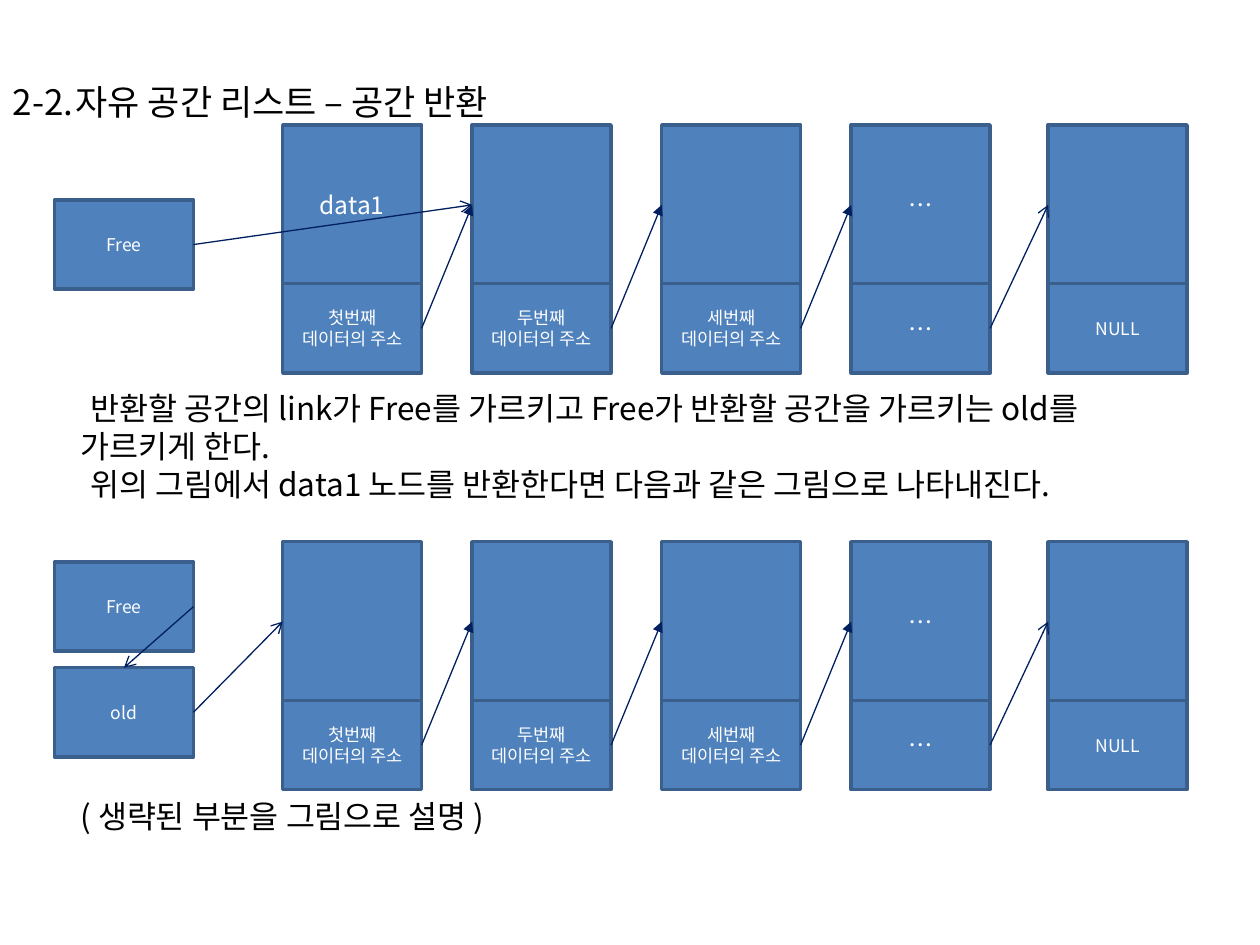
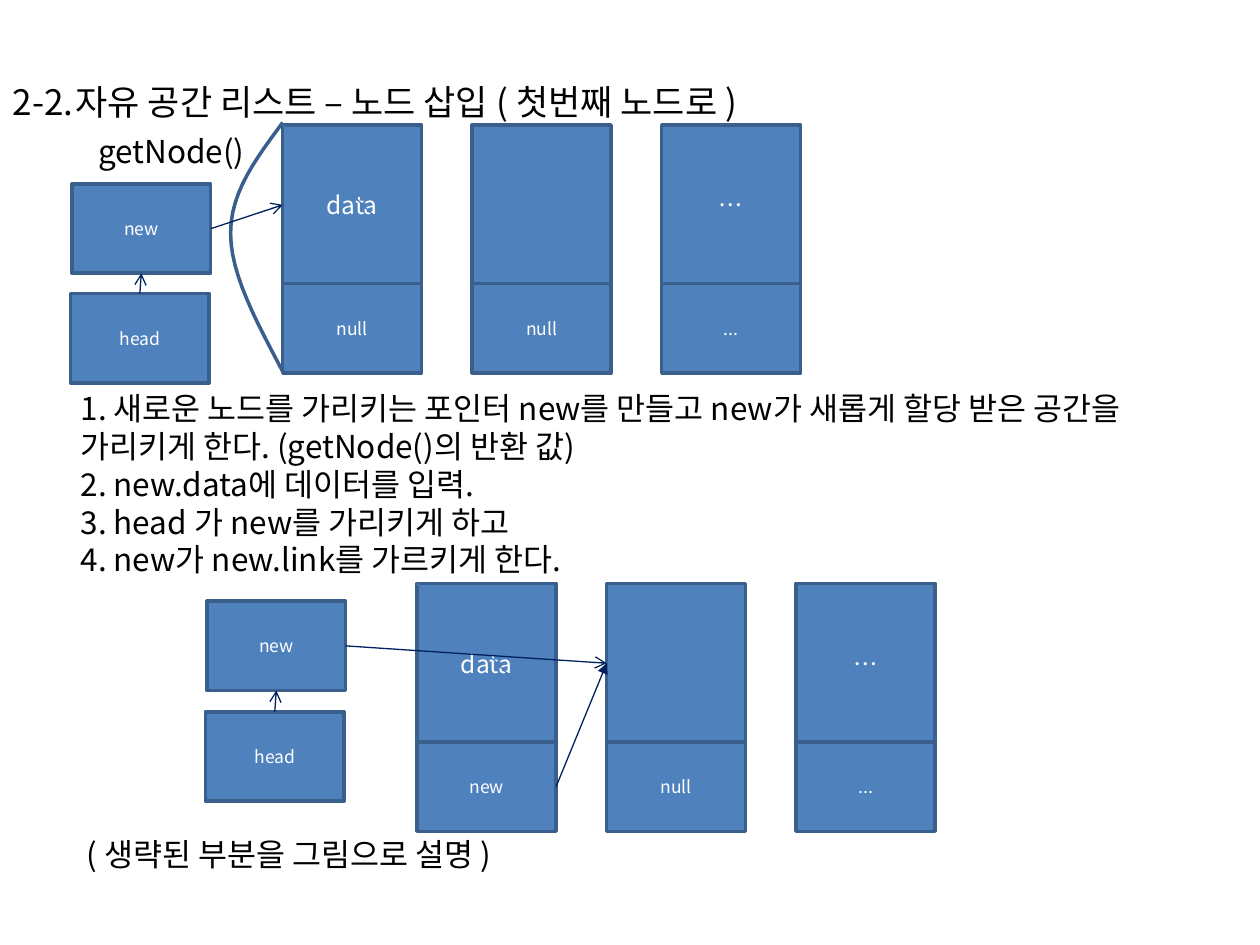
"""Build two slides on returning and inserting nodes in a free-space list."""
from lxml import etree
from pptx import Presentation
from pptx.dml.color import RGBColor
from pptx.enum.shapes import MSO_CONNECTOR, MSO_SHAPE
from pptx.enum.text import MSO_ANCHOR, MSO_AUTO_SIZE, PP_ALIGN
from pptx.oxml.ns import qn
from pptx.util import Cm, Pt

RECTANGLE = MSO_SHAPE.RECTANGLE
STRAIGHT = MSO_CONNECTOR.STRAIGHT
TOP, MIDDLE = MSO_ANCHOR.TOP, MSO_ANCHOR.MIDDLE
LEFT, CENTER = PP_ALIGN.LEFT, PP_ALIGN.CENTER
NO_AUTOFIT = MSO_AUTO_SIZE.NONE
TOP_SITE, LEFT_SITE, BOTTOM_SITE, RIGHT_SITE = range(4)

FONT = "Noto Sans CJK KR"
BLACK, WHITE = "000000", "FFFFFF"
BOX_FILL, BOX_LINE = "4F81BD", "3A5F8C"
ARROW_LINE, DIAGONAL_LINE = "002060", "4B7EBC"
BOX_WIDTH, DATA_HEIGHT, LINK_HEIGHT = 2.8, 3.22, 1.8
LINK_OFFSET, NODE_STEP = 3.2, 3.82
CHAIN_LEFT, CHAIN_TOP, LAST_LEFT = 5.7, 2.52, 21.13
NOTE = "( 생략된 부분을 그림으로 설명 )"
LINKS = ["첫번째 데이터의 주소", "두번째 데이터의 주소", "세번째 데이터의 주소", "…"]


def color(hex_text):
    """Return the colour for a hex string."""
    return RGBColor.from_string(hex_text)


def curve_points(start, first, second, end, steps=12):
    """Return points along a cubic curve, without its start."""
    points = []
    for step in range(1, steps + 1):
        t = step / steps
        weights = ((1 - t) ** 3, 3 * t * (1 - t) ** 2, 3 * t ** 2 * (1 - t), t ** 3)
        corners = (start, first, second, end)
        points.append(tuple(Cm(sum(w * c[axis] for w, c in zip(weights, corners)))
                            for axis in (0, 1)))
    return points


class ListDeck:
    """Hold the deck, its style and the current slide."""

    def __init__(self):
        """Start an empty deck."""
        self.deck = Presentation()
        self.deck.slide_width, self.deck.slide_height = Cm(25.4), Cm(19.05)
        self.page = None

    def set_text(self, shape, lines, size, ink=BLACK, align=LEFT, anchor=TOP,
                 indent=0, tab=None, wrap=True):
        """Put formatted paragraphs into a shape."""
        frame = shape.text_frame
        frame.text = "\n".join(lines)
        frame.word_wrap = wrap
        frame.auto_size = NO_AUTOFIT
        frame.vertical_anchor = anchor
        for para in frame.paragraphs:
            para.alignment = align
            para.space_before = Pt(0)
            properties = para._p.get_or_add_pPr()
            properties.set("marL", "0")
            properties.set("indent", str(Cm(indent)))
            etree.SubElement(properties, qn("a:buNone"))
            if tab:
                stops = etree.SubElement(properties, qn("a:tabLst"))
                etree.SubElement(stops, qn("a:tab"), pos=str(Cm(tab)), algn="l")
            font = para.font
            font.name, font.size = FONT, Pt(size)
            font.color.rgb = color(ink)
            etree.SubElement(font._element, qn("a:ea"), typeface=FONT)

    def place(self, shape, left, top, width, height):
        """Move and size a shape."""
        shape.left, shape.top = Cm(left), Cm(top)
        shape.width, shape.height = Cm(width), Cm(height)

    def start_page(self, title, lines, body_height, indent=0):
        """Add a slide with a title and a body text."""
        self.page = self.deck.slides.add_slide(self.deck.slide_layouts[1])
        heading, body = self.page.placeholders
        self.place(heading, 0, 0, 25.4, 4.1)
        self.set_text(heading, [title], 20, anchor=MIDDLE, tab=1.71)
        self.place(body, 1.37, 7.72, 22.63, body_height)
        self.set_text(body, lines, 18, indent=indent)

    def label(self, text, left, top, width, wrap=True):
        """Add a one-line text box."""
        box = self.page.shapes.add_textbox(Cm(left), Cm(top), Cm(width), Cm(1.02))
        self.set_text(box, [text], 18, wrap=wrap)

    def outline(self, shape, ink, width):
        """Set the line of a shape."""
        shape.line.color.rgb = color(ink)
        shape.line.width = Pt(width)

    def box(self, text, left, top, height=LINK_HEIGHT, size=10):
        """Add a blue box with centred text."""
        box = self.page.shapes.add_shape(
            RECTANGLE, Cm(left), Cm(top), Cm(BOX_WIDTH), Cm(height))
        box.shadow.inherit = False
        box.fill.solid()
        box.fill.fore_color.rgb = color(BOX_FILL)
        self.outline(box, BOX_LINE, 2)
        if text:
            self.set_text(box, [text], size, WHITE, CENTER, MIDDLE)
        return box

    def node(self, data, link, left, top):
        """Add a node and return its data and link boxes."""
        return (self.box(data, left, top, DATA_HEIGHT, 14),
                self.box(link, left, top + LINK_OFFSET, size=14 if link == "…" else 10))

    def chain(self, data, links, left, top):
        """Add evenly spaced nodes."""
        return [self.node(item, link, left + index * NODE_STEP, top)
                for index, (item, link) in enumerate(zip(data, links))]

    def line(self, ink, start=(0, 0), end=(0, 0)):
        """Add a thin straight line."""
        line = self.page.shapes.add_connector(STRAIGHT, *map(Cm, start + end))
        self.outline(line, ink, 0.75)
        etree.SubElement(line._element.spPr, qn("a:effectLst"))
        return line

    def arrow(self, source, target, from_site=RIGHT_SITE, to_site=LEFT_SITE, head="arrow"):
        """Connect two boxes with an arrow."""
        arrow = self.line(ARROW_LINE)
        arrow.begin_connect(source, from_site)
        arrow.end_connect(target, to_site)
        etree.SubElement(arrow.line._get_or_add_ln(), qn("a:tailEnd"), type=head)

    def diagonal(self, left, top):
        """Add a faint diagonal line over a node."""
        self.line(DIAGONAL_LINE, (left, top), (left + 2.54, top + 2.54))

    def arc(self, start, *curves):
        """Add an open curved outline."""
        builder = self.page.shapes.build_freeform(*map(Cm, start))
        for curve in curves:
            builder.add_line_segments(curve_points(start, *curve), close=False)
            start = curve[-1]
        arc = builder.convert_to_shape()
        arc.shadow.inherit = False
        arc.fill.background()
        self.outline(arc, BOX_LINE, 2)

    def free_list(self, first_data, top):
        """Add the linked chain that ends in NULL."""
        nodes = self.chain([first_data, "", "", "…"], LINKS, CHAIN_LEFT, top)
        for (_, link), (data, _) in zip(nodes, nodes[1:]):
            self.arrow(link, data, head="triangle")
        last_data, _ = self.node("", "NULL", LAST_LEFT, top)
        self.arrow(nodes[-1][1], last_data)
        return nodes

    def pointers(self, left, new_top, head_top):
        """Add the head box pointing up at the new box."""
        new = self.box("new", left, new_top)
        head = self.box("head", left - 0.03, head_top)
        self.arrow(head, new, TOP_SITE, BOTTOM_SITE)
        return new


def return_page(show):
    """Draw the slide on returning space."""
    show.start_page("2-2.\t자유 공간 리스트 – 공간 반환", [
        "반환할 공간의 link가 Free를 가르키고 Free가 반환할 공간을 가르키는 old를 가르키게 한다.",
        "위의 그림에서 data1 노드를 반환한다면 다음과 같은 그림으로 나타내진다."], 3.33, 0.2)
    before = show.free_list("data1", CHAIN_TOP)
    free = show.box("Free", 1.1, 4.03)
    show.arrow(free, before[1][0])

    after = show.free_list("", 10.92)
    free = show.box("Free", 1.1, 11.33)
    old = show.box("old", 1.1, 13.46)
    show.arrow(free, old, to_site=TOP_SITE)
    show.arrow(old, after[0][0])
    show.label(NOTE, 1.37, 15.95, 22.63)


def insert_page(show):
    """Draw the slide on inserting a first node."""
    show.start_page("2-2.\t자유 공간 리스트 – 노드 삽입 ( 첫번째 노드로 )", [
        "1. 새로운 노드를 가리키는 포인터 new를 만들고 new가 새롭게 할당 받은 공간을 "
        "가리키게 한다. (getNode()의 반환 값)",
        "2. new.data에 데이터를 입력.",
        "3. head 가 new를 가리키게 하고",
        "4. new가 new.link를 가르키게 한다."], 5.64)
    data = ["data", "", "…"]
    before = show.chain(data, ["null", "null", "..."], CHAIN_LEFT, CHAIN_TOP)
    show.diagonal(CHAIN_LEFT, CHAIN_TOP)
    show.arc((5.7, 2.47), ((5.18, 3.18), (4.65, 3.86), (4.65, 4.7)),
             ((4.65, 5.54), (5.18, 6.5), (5.7, 7.49)))
    show.label("getNode()", 1.73, 2.54, 3.45, wrap=False)
    new = show.pointers(1.45, 3.71, 5.92)
    show.arrow(new, before[0][0])

    after_left, after_top = 8.41, 11.76
    after = show.chain(data, ["new", "null", "..."], after_left, after_top)
    show.arrow(after[0][1], after[1][0], head="triangle")
    show.diagonal(after_left, after_top)
    new = show.pointers(4.17, 12.12, 14.35)
    show.arrow(new, after[1][0])
    show.label(NOTE, 1.5, 16.71, 22.63)


def main():
    """Build and save the deck."""
    show = ListDeck()
    return_page(show)
    insert_page(show)
    show.deck.save("out.pptx")


if __name__ == "__main__":
    main()
